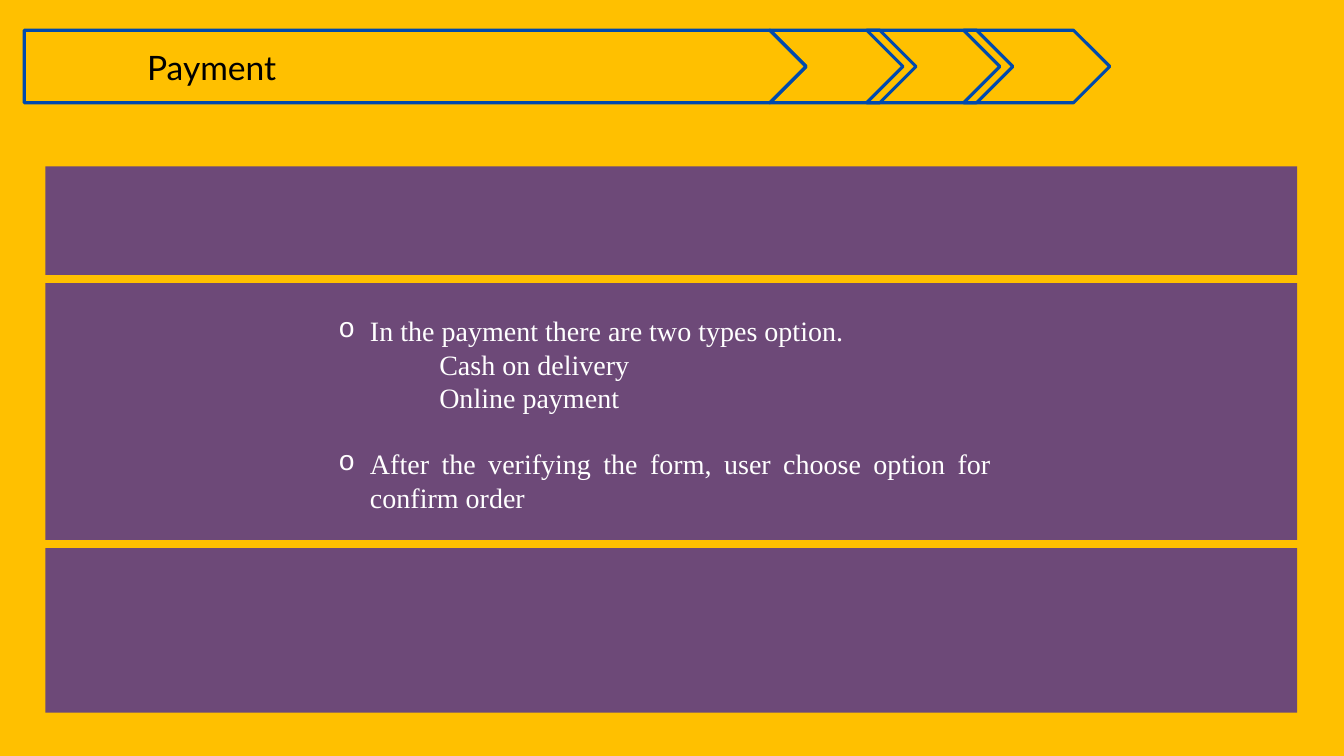
from lxml import etree
from pptx import Presentation
from pptx.dml import color
from pptx.enum import shapes, text
from pptx.oxml import ns
from pptx.util import Pt

GOLD = color.RGBColor(0xFF, 0xC0, 0x00)
PURPLE = color.RGBColor(0x6D, 0x49, 0x78)
BLUE = color.RGBColor(0x00, 0x4A, 0xAD)
BLACK = color.RGBColor(0x00, 0x00, 0x00)
WHITE = color.RGBColor(0xFF, 0xFF, 0xFF)

OPTIONS = [
    ("In the payment there are two types option.", True, 0),
    ("Cash on delivery", False, 0),
    ("Online payment", False, 0),
    ("After the verifying the form, user choose option for confirm order", True, 23),
]


def set_all(target, values):
    """Set every attribute named in a dict of values."""
    for name, value in values.items():
        setattr(target, name, value)


def add_block(page, kind, box, fill=None, line=None, weight=0):
    """Add a preset shape with an optional fill and outline."""
    block = page.shapes.add_shape(kind, *map(Pt, box))
    block.shadow.inherit = False
    if fill is None:
        block.fill.background()
    else:
        block.fill.solid()
        block.fill.fore_color.rgb = fill
    if line is None:
        block.line.fill.background()
    else:
        block.line.color.rgb = line
        block.line.width = Pt(weight)
    return block


def style_font(font, name, size, colour):
    """Give a font its typeface, size and colour."""
    set_all(font, {"name": name, "size": Pt(size), "bold": False})
    font.color.rgb = colour


def indent(para, left, hanging=0, bullet=None):
    """Indent a paragraph and give it a bullet character if wanted."""
    properties = para._p.get_or_add_pPr()
    properties.set("marL", str(Pt(left)))
    properties.set("indent", str(Pt(-hanging)))
    if bullet:
        etree.SubElement(properties, ns.qn("a:buFont")).set("typeface", "Courier New")
        etree.SubElement(properties, ns.qn("a:buChar")).set("char", bullet)


def add_header(page, left, top, width, height):
    """Draw the arrow banner and place the title in it."""
    chevron, step, count = 104.4, 69.2, 3
    first = width - chevron - (count - 1) * step
    kinds = shapes.MSO_SHAPE
    add_block(page, kinds.PENTAGON, (left, top, first + height / 2, height), line=BLUE, weight=2.25)
    for index in range(count):
        box = (left + first + index * step, top, chevron, height)
        add_block(page, kinds.CHEVRON, box, line=BLUE, weight=2.25)
    title = page.shapes.title
    set_all(title, {"left": Pt(left + 8.6), "top": Pt(top + 8.6),
                    "width": Pt(449.3), "height": Pt(37.4)})
    title.text = "Payment"
    set_all(title.text_frame, {"margin_left": Pt(79.2), "word_wrap": True,
                               "auto_size": text.MSO_AUTO_SIZE.NONE,
                               "vertical_anchor": text.MSO_ANCHOR.TOP})
    para = title.text_frame.paragraphs[0]
    para.alignment = text.PP_ALIGN.LEFT
    style_font(para.font, "Lato", 24, BLACK)


def add_options(page, left, top, width, height):
    """Write the payment options as justified text."""
    frame = page.shapes.add_textbox(*map(Pt, (left, top, width, height))).text_frame
    frame.word_wrap = True
    for index, (words, bulleted, gap) in enumerate(OPTIONS):
        para = frame.add_paragraph() if index else frame.paragraphs[0]
        para.text = words
        if bulleted:
            indent(para, 22.5, 22.5, "o")
        else:
            indent(para, 72)
        set_all(para, {"alignment": text.PP_ALIGN.JUSTIFY, "space_before": Pt(gap)})
        style_font(para.font, "Times New Roman", 20, WHITE)


def add_panel(page, left, top, width, height):
    """Draw the purple panel, its gold frame and the options inside."""
    rectangle = shapes.MSO_SHAPE.RECTANGLE
    add_block(page, rectangle, (left, top, width, height), fill=PURPLE)
    add_block(page, rectangle, (left - 22.3, top + 80.6, 936, 189.4), line=GOLD, weight=6)
    add_options(page, left + 202.3, top + 101.5, 480.2, 152.6)


def main():
    """Build and save the payment slide."""
    deck = Presentation()
    set_all(deck, {"slide_width": Pt(960), "slide_height": Pt(540)})
    page = deck.slides.add_slide(deck.slide_layouts[5])
    page.background.fill.solid()
    page.background.fill.fore_color.rgb = GOLD
    add_panel(page, 32.4, 118.8, 894.2, 390.2)
    add_header(page, 17.3, 21.6, 775.4, 51.8)
    deck.save("out.pptx")


if __name__ == "__main__":
    main()
